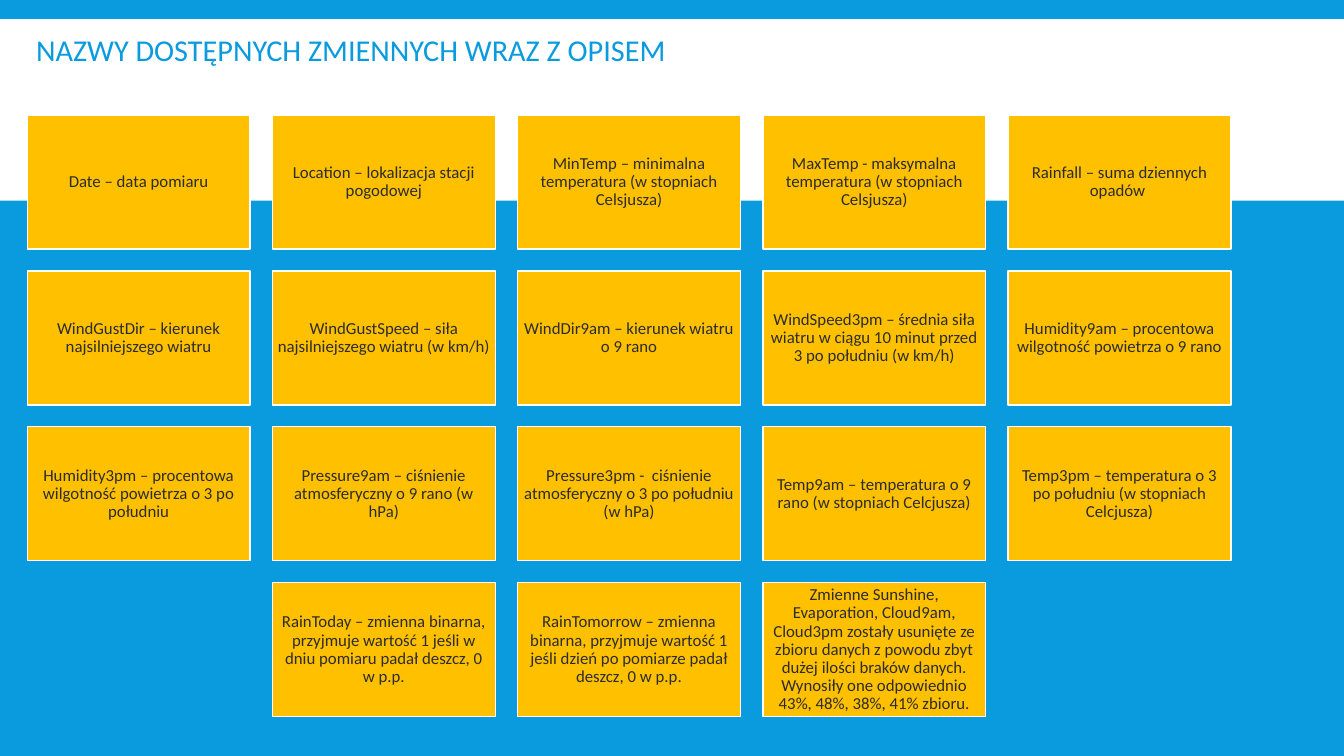
from pptx import Presentation
from pptx.dml.color import RGBColor
from pptx.enum.shapes import MSO_SHAPE
from pptx.enum.text import MSO_ANCHOR, PP_ALIGN
from pptx.util import Inches, Pt

COLORS = {"blue": "099BDD", "white": "FFFFFF", "amber": "FFC000", "text": "2C2C2C"}
FONT = "Calibri"
COLUMNS = 5
LEFT, TOP = 0.27, 1.14
CARD_W, CARD_H = 2.21, 1.33
STEP_X, STEP_Y = 2.432, 1.547

VARIABLES = [
    "Date – data pomiaru",
    "Location – lokalizacja stacji pogodowej",
    "MinTemp – minimalna temperatura (w stopniach Celsjusza)",
    "MaxTemp - maksymalna temperatura (w stopniach Celsjusza)",
    "Rainfall – suma dziennych opadów ",
    "WindGustDir – kierunek najsilniejszego wiatru",
    "WindGustSpeed – siła najsilniejszego wiatru (w km/h)",
    "WindDir9am – kierunek wiatru o 9 rano",
    "WindSpeed3pm – średnia siła wiatru w ciągu 10 minut przed 3 po południu (w km/h)",
    "Humidity9am – procentowa wilgotność powietrza o 9 rano",
    "Humidity3pm – procentowa wilgotność powietrza o 3 po południu",
    "Pressure9am – ciśnienie atmosferyczny o 9 rano (w hPa)",
    "Pressure3pm -  ciśnienie atmosferyczny o 3 po południu (w hPa)",
    "Temp9am – temperatura o 9 rano (w stopniach Celcjusza)",
    "Temp3pm – temperatura o 3 po południu (w stopniach Celcjusza)",
    "RainToday – zmienna binarna, przyjmuje wartość 1 jeśli w dniu pomiaru padał deszcz, 0 w p.p.",
    "RainTomorrow – zmienna binarna, przyjmuje wartość 1 jeśli dzień po pomiarze padał deszcz, "
    "0 w p.p.",
    "Zmienne Sunshine, Evaporation, Cloud9am, Cloud3pm zostały usunięte ze zbioru danych z powodu "
    "zbyt dużej ilości braków danych. Wynosiły one odpowiednio 43%, 48%, 38%, 41% zbioru.",
]


def rgb(name):
    """Return the named palette colour."""
    return RGBColor.from_string(COLORS[name])


def add_rect(slide, x, y, w, h, fill, line=None):
    """Add a filled rectangle with an optional outline."""
    sp = slide.shapes.add_shape(MSO_SHAPE.RECTANGLE, Inches(x), Inches(y), Inches(w), Inches(h))
    sp.shadow.inherit = False
    sp.fill.solid()
    sp.fill.fore_color.rgb = rgb(fill)
    if line:
        sp.line.color.rgb = rgb(line)
        sp.line.width = Pt(1)
    else:
        sp.line.fill.background()
    return sp


def set_text(sp, text, size, color, align, spacing):
    """Write one wrapped, vertically centred paragraph in a shape."""
    tf = sp.text_frame
    tf.word_wrap = True
    tf.vertical_anchor = MSO_ANCHOR.MIDDLE
    p = tf.paragraphs[0]
    p.text = text
    p.alignment = align
    p.line_spacing = spacing
    p.font.size = Pt(size)
    p.font.name = FONT
    p.font.color.rgb = rgb(color)
    return tf


def add_title(slide, text):
    """Add the slide heading."""
    sp = slide.shapes.add_textbox(Inches(0.26), Inches(0.37), Inches(12.81), Inches(0.3))
    set_text(sp, text, 21.6, "blue", PP_ALIGN.LEFT, 0.85)


def add_card(slide, x, y, text):
    """Add one card describing a variable."""
    sp = add_rect(slide, x, y, CARD_W, CARD_H, "amber", "white")
    tf = set_text(sp, text, 12, "text", PP_ALIGN.CENTER, 0.9)
    tf.margin_left = tf.margin_right = tf.margin_top = tf.margin_bottom = Inches(0.05)


def add_card_grid(slide, texts):
    """Lay the cards out in rows, centring a short last row."""
    for row, start in enumerate(range(0, len(texts), COLUMNS)):
        row_texts = texts[start:start + COLUMNS]
        indent = (COLUMNS - len(row_texts)) / 2
        for col, text in enumerate(row_texts):
            add_card(slide, LEFT + (indent + col) * STEP_X, TOP + row * STEP_Y, text)


def main():
    """Build and save the slide."""
    prs = Presentation()
    prs.slide_width, prs.slide_height = Inches(13.33), Inches(7.5)
    slide = prs.slides.add_slide(prs.slide_layouts[6])
    slide.background.fill.solid()
    slide.background.fill.fore_color.rgb = rgb("blue")
    add_rect(slide, 0, 0.19, 13.33, 1.8, "white")
    add_title(slide, "NAZWY DOSTĘPNYCH ZMIENNYCH WRAZ Z OPISEM")
    add_card_grid(slide, VARIABLES)
    prs.save("out.pptx")


if __name__ == "__main__":
    main()
